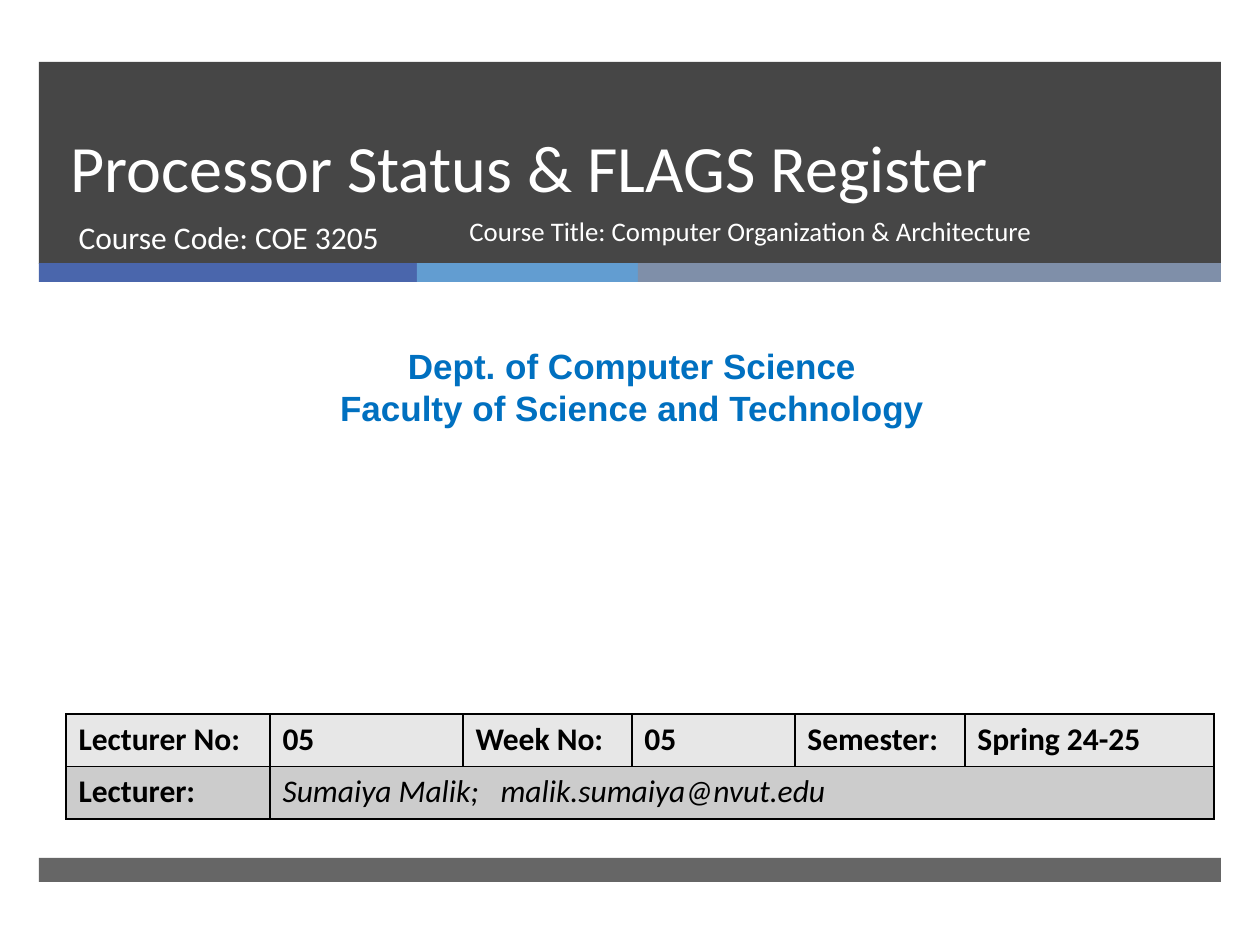
"""Build the course title slide with its header band, department and lecture table."""
from dataclasses import dataclass

from lxml.etree import SubElement
from pptx import Presentation
from pptx.dml.color import RGBColor
from pptx.dml.fill import FillFormat
from pptx.enum.shapes import MSO_SHAPE
from pptx.enum.text import MSO_ANCHOR, MSO_AUTO_SIZE, PP_ALIGN
from pptx.oxml import parse_xml
from pptx.oxml.ns import nsdecls, qn
from pptx.slide import Slide
from pptx.table import _Cell
from pptx.text.text import TextFrame
from pptx.util import Emu, Pt


@dataclass(frozen=True)
class Theme:
    dark: str = "262626"
    blue: str = "4A66AC"
    sky: str = "629DD1"
    slate: str = "7F8FA9"
    white: str = "FFFFFF"
    black: str = "000000"
    dept: str = "0070C0"
    rows: tuple[str, str] = ("E7E7E7", "CCCCCC")
    font: str = "Calibri"
    dept_font: str = "Arial"
    title_size: float = 37.8
    dept_size: float = 20
    body_size: float = 18
    course_size: float = 15.3


@dataclass(frozen=True)
class Box:
    x: int
    y: int
    w: int
    h: int

    def emu(self) -> tuple[Emu, Emu, Emu, Emu]:
        return px(self.x), px(self.y), px(self.w), px(self.h)


@dataclass(frozen=True)
class Band:
    box: Box
    color: str
    opacity: int = 100


@dataclass(frozen=True)
class Style:
    size: float
    color: str
    font: str = Theme.font
    bold: bool = False
    italic: bool = False
    align: PP_ALIGN = PP_ALIGN.LEFT
    spacing: float | Pt = 1.0


THEME = Theme()
BANDS = (
    Band(Box(39, 62, 1182, 202), THEME.dark, 85),
    Band(Box(39, 263, 378, 19), THEME.blue),
    Band(Box(417, 263, 221, 19), THEME.sky),
    Band(Box(638, 263, 583, 19), THEME.slate),
    Band(Box(39, 858, 1182, 24), THEME.dark, 70),
)
TABLE_BOX = Box(66, 714, 1148, 105)
COLUMNS = (204, 193, 169, 163, 170, 249)
ROWS = (
    ("Lecturer No:", "05", "Week No:", "05", "Semester:", "Spring 24-25"),
    ("Lecturer:", "Sumaiya Malik;\tmalik.sumaiya@nvut.edu"),
)
EMAIL_TAB = 218


def px(n: int) -> Emu:
    return Emu(round(n * 914400 / 126))


def set_fill(fill: FillFormat, color: str) -> None:
    fill.solid()
    fill.fore_color.rgb = RGBColor.from_string(color)


def write(tf: TextFrame, text: str, style: Style) -> None:
    tf.text = text
    tf.word_wrap = True
    for p in tf.paragraphs:
        p.alignment = style.align
        p.line_spacing = style.spacing
        p.space_before = Pt(0)
        p.font.size = Pt(style.size)
        p.font.name = style.font
        p.font.bold = style.bold
        p.font.italic = style.italic
        p.font.color.rgb = RGBColor.from_string(style.color)


def add_band(s: Slide, band: Band) -> None:
    sp = s.shapes.add_shape(MSO_SHAPE.RECTANGLE, *band.box.emu())
    sp.shadow.inherit = False
    sp.line.fill.background()
    set_fill(sp.fill, band.color)
    if band.opacity < 100:
        color = next(sp.element.spPr.iter(qn("a:srgbClr")))
        SubElement(color, qn("a:alpha"), val=str(band.opacity * 1000))
    s.shapes.title.element.addprevious(sp.element)


def fill_placeholder(s: Slide, idx: int, box: Box, text: str, style: Style,
                     anchor: MSO_ANCHOR) -> None:
    sp = s.placeholders[idx]
    sp.left, sp.top, sp.width, sp.height = box.emu()
    tf = sp.text_frame
    tf.auto_size = MSO_AUTO_SIZE.NONE
    tf.vertical_anchor = anchor
    write(tf, text, style)


def add_text(s: Slide, box: Box, text: str, style: Style) -> None:
    write(s.shapes.add_textbox(*box.emu()).text_frame, text, style)


def set_borders(cell: _Cell) -> None:
    tc_pr = cell._tc.get_or_add_tcPr()
    for i, side in enumerate("LRTB"):
        tc_pr.insert(i, parse_xml(
            f'<a:ln{side} {nsdecls("a")} w="12700"><a:solidFill>'
            f'<a:srgbClr val="{THEME.black}"/></a:solidFill></a:ln{side}>'))


def add_lecture_table(s: Slide) -> None:
    table = s.shapes.add_table(len(ROWS), len(COLUMNS), *TABLE_BOX.emu()).table
    for col, width in zip(table.columns, COLUMNS):
        col.width = px(width)
    table.cell(1, 1).merge(table.cell(1, len(COLUMNS) - 1))
    for row, texts, color in zip(table.rows, ROWS, THEME.rows):
        for cell in row.cells:
            set_fill(cell.fill, color)
            set_borders(cell)
        for cell, text in zip(row.cells, texts):
            name = cell.is_merge_origin
            write(cell.text_frame, text,
                  Style(THEME.body_size, THEME.black, bold=not name, italic=name))
    p_pr = table.cell(1, 1).text_frame.paragraphs[0]._p.get_or_add_pPr()
    tabs = parse_xml(f'<a:tabLst {nsdecls("a")}><a:tab pos="{px(EMAIL_TAB)}" algn="l"/></a:tabLst>')
    p_pr.find(qn("a:defRPr")).addprevious(tabs)


def main() -> None:
    prs = Presentation()
    prs.slide_width, prs.slide_height = px(1260), px(945)
    s = prs.slides.add_slide(prs.slide_layouts[0])
    for band in BANDS:
        add_band(s, band)
    fill_placeholder(s, 0, Box(58, 62, 1076, 150), "Processor Status & FLAGS Register",
                     Style(THEME.title_size, THEME.white, spacing=Pt(46)), MSO_ANCHOR.BOTTOM)
    fill_placeholder(s, 1, Box(66, 212, 384, 67), "Course Code: COE 3205",
                     Style(THEME.body_size, THEME.white), MSO_ANCHOR.TOP)
    add_text(s, Box(10, 338, 1244, 97),
             "Dept. of Computer Science\nFaculty of Science and Technology",
             Style(THEME.dept_size, THEME.dept, THEME.dept_font, bold=True,
                   align=PP_ALIGN.CENTER))
    add_lecture_table(s)
    add_text(s, Box(457, 212, 591, 67), "Course Title: Computer Organization & Architecture",
             Style(THEME.course_size, THEME.white, spacing=0.9))
    prs.save("out.pptx")


if __name__ == "__main__":
    main()
